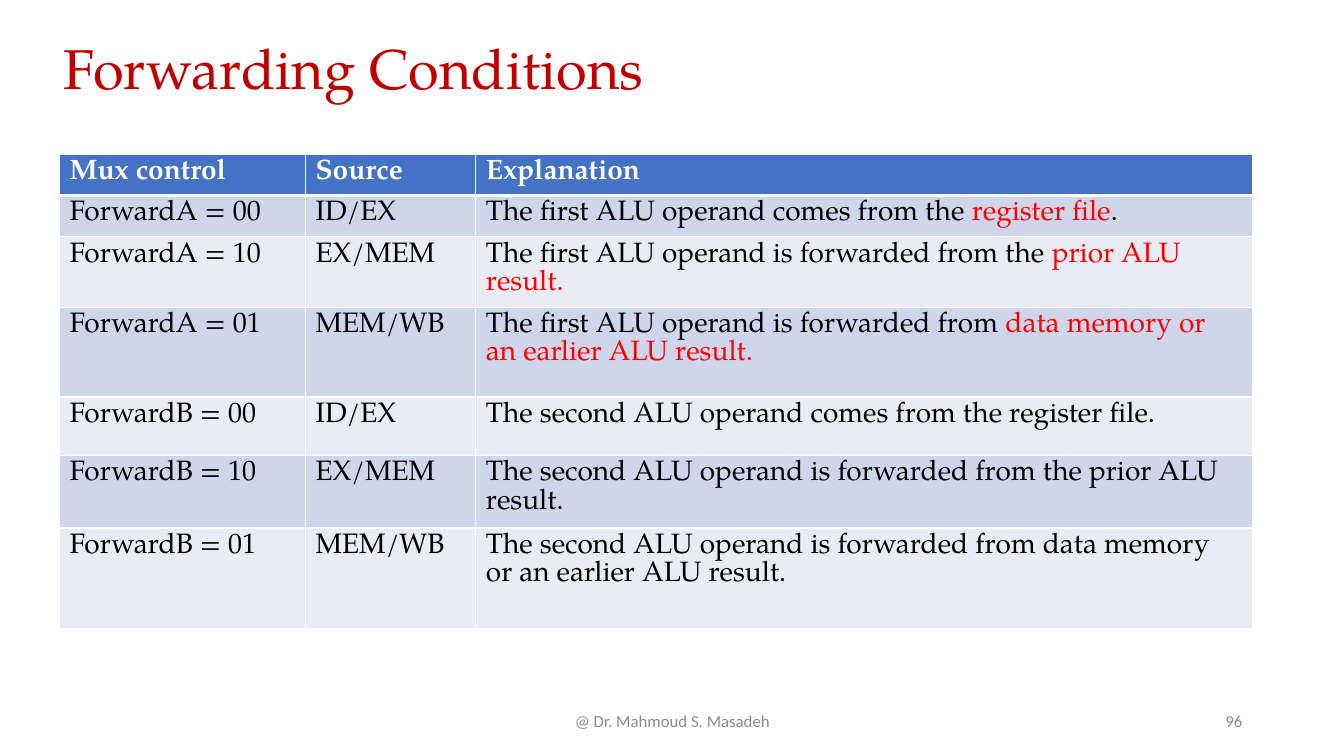
import pptx
import pptx.dml.color
import pptx.enum.text
import pptx.oxml
import pptx.oxml.ns
import pptx.util

PX = 9144  # EMU per px, 100 px to the inch
ALIGN = pptx.enum.text.PP_ALIGN
MIDDLE = pptx.enum.text.MSO_ANCHOR.MIDDLE


class Theme:
    serif, sans = "TeX Gyre Pagella", "Calibri"
    title_size, table_size, footer_size = 40, 20, 12
    title, text, accent, muted = "C00000", "000000", "FF0000", "8C8C8C"
    header, header_text, border = "4472C4", "FFFFFF", "FFFFFF"
    bands = "CFD5EA", "E9EBF5"


TITLE_BOX = 53, 40, 1232, 62
TABLE_BOX = 59, 153, 1183, 487
FOOTER_BOX = 442, 695, 450, 40
NUMBER_BOX = 942, 695, 300, 40
COLUMNS = 244, 169, 770
ROW_HEIGHTS = 41, 41, 70, 89, 58, 72, 100
# Text between bars is set in the accent colour
ROWS = [
    ("Mux control", "Source", "Explanation"),
    ("ForwardA = 00", "ID/EX",
     "The first ALU operand comes from the |register file|."),
    ("ForwardA = 10", "EX/MEM",
     "The first ALU operand is forwarded from the |prior ALU result."),
    ("ForwardA = 01", "MEM/WB",
     "The first ALU operand is forwarded from |data memory or an earlier ALU result."),
    ("ForwardB = 00", "ID/EX",
     "The second ALU operand comes from the register file."),
    ("ForwardB = 10", "EX/MEM",
     "The second ALU operand is forwarded from the prior ALU result."),
    ("ForwardB = 01", "MEM/WB",
     "The second ALU operand is forwarded from data memory or an earlier ALU result."),
]


def rgb(color):
    return pptx.dml.color.RGBColor.from_string(color)


def emu(box):
    return [pptx.util.Emu(v * PX) for v in box]


def write(tf, text, *, size, color, font=Theme.serif, bold=False,
          align=ALIGN.LEFT, spacing=None):
    p = tf.paragraphs[0]
    p.alignment = align
    p.line_spacing = spacing
    for i, part in enumerate(text.split("|")):
        r = p.add_run()
        r.text = part
        r.font.name = font
        r.font.size = pptx.util.Pt(size)
        r.font.bold = bold
        r.font.color.rgb = rgb(Theme.accent if i % 2 else color)


def add_title(s, box, text):
    sp = s.shapes.title
    sp.left, sp.top, sp.width, sp.height = emu(box)
    tf = sp.text_frame
    tf.word_wrap = True
    tf.auto_size = pptx.enum.text.MSO_AUTO_SIZE.NONE
    tf.vertical_anchor = MIDDLE
    write(tf, text, size=Theme.title_size, color=Theme.title, spacing=0.9)


def add_footer(s, box, text, align):
    tf = s.shapes.add_textbox(*emu(box)).text_frame
    tf.word_wrap = True
    tf.vertical_anchor = MIDDLE
    write(tf, text, size=Theme.footer_size, color=Theme.muted,
          font=Theme.sans, align=align)


def set_borders(cell, bottom):
    tc_pr = cell._tc.get_or_add_tcPr()
    for side, width in (("L", 1), ("R", 1), ("T", 1), ("B", bottom)):
        tc_pr.append(pptx.oxml.parse_xml(
            f'<a:ln{side} {pptx.oxml.ns.nsdecls("a")} w="{pptx.util.Pt(width)}">'
            f'<a:solidFill><a:srgbClr val="{Theme.border}"/></a:solidFill>'
            f'</a:ln{side}>'))


def add_conditions(s, box, rows):
    table = s.shapes.add_table(len(rows), len(COLUMNS), *emu(box)).table
    for column, width in zip(table.columns, emu(COLUMNS)):
        column.width = width
    for row, height in zip(table.rows, emu(ROW_HEIGHTS)):
        row.height = height
    for i, texts in enumerate(rows):
        head = i == 0
        for j, text in enumerate(texts):
            cell = table.cell(i, j)
            set_borders(cell, 3 if head else 1)
            cell.fill.solid()
            cell.fill.fore_color.rgb = rgb(
                Theme.header if head else Theme.bands[(i - 1) % 2])
            write(cell.text_frame, text, size=Theme.table_size, bold=head,
                  color=Theme.header_text if head else Theme.text)


def main():
    prs = pptx.Presentation()
    prs.slide_width, prs.slide_height = emu((1333, 750))
    s = prs.slides.add_slide(prs.slide_layouts[5])
    add_title(s, TITLE_BOX, "Forwarding Conditions")
    add_conditions(s, TABLE_BOX, ROWS)
    add_footer(s, FOOTER_BOX, "@ Dr. Mahmoud S. Masadeh", ALIGN.CENTER)
    add_footer(s, NUMBER_BOX, "96", ALIGN.RIGHT)
    prs.save("out.pptx")


if __name__ == "__main__":
    main()
